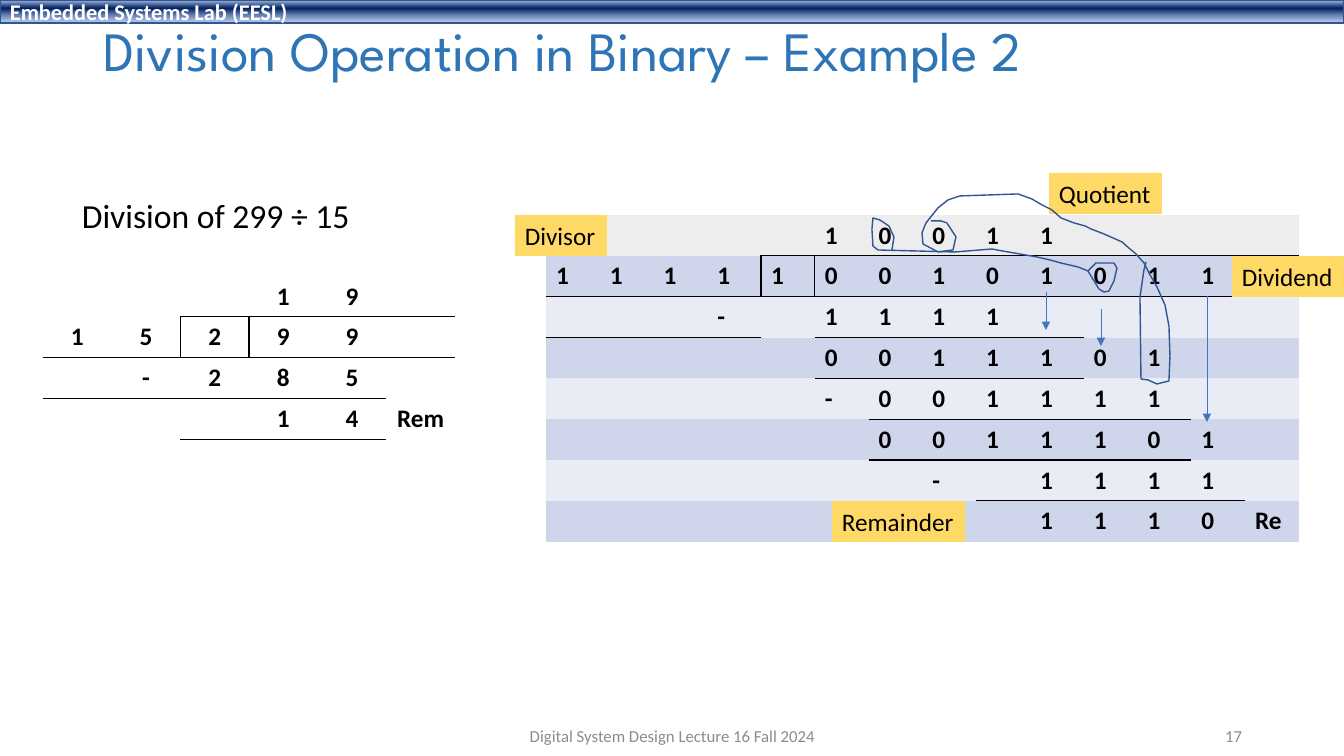
from collections import namedtuple

from lxml import etree
from pptx import Presentation
from pptx.dml.color import RGBColor
from pptx.enum.shapes import MSO_CONNECTOR, MSO_SHAPE
from pptx.enum.text import MSO_ANCHOR, PP_ALIGN
from pptx.oxml import parse_xml
from pptx.oxml.ns import nsdecls, qn
from pptx.util import Pt

EMU_PER_PX = 914400 / 100.8
NO_GRID_STYLE = "{2D5ABB26-0587-4C30-8999-92F81FD0307C}"

Box = namedtuple("Box", "left top width height")


class Theme:
    """Colours, fonts and type sizes of the slide."""
    body, heading = "Calibri", "League Spartan"
    black, white, grey, title = "000000", "FFFFFF", "8C8C8C", "2E75B6"
    label, ink, arrow = "FFD966", "325491", "4472C4"
    quotient_row, dark_band, light_band = "EDEDED", "CFD5EA", "E9EBF5"
    bar_stops = ((2, "ABC0E4", 100), (38, "002060", 100), (93, "7E9ED6", 64))
    title_size, prompt_size, text_size, bar_size, footer_size = 39.6, 24, 18, 16, 12


def px(length):
    """Turn pixels into EMU."""
    return round(length * EMU_PER_PX)


def within(region, left, top, width, height):
    """Return a box placed relative to a region."""
    return Box(region.left + left, region.top + top, width, height)


def rgb(colour):
    """Return a colour object for a hex string."""
    return RGBColor.from_string(colour)


def style(paragraph, size, colour=Theme.black, face=Theme.body, bold=False,
          align=PP_ALIGN.LEFT):
    """Format a whole paragraph."""
    paragraph.alignment = align
    font = paragraph.font
    font.name, font.size, font.bold = face, Pt(size), bold
    font.color.rgb = rgb(colour)


def add_text(slide, box, text, size, colour=Theme.black, fill=None, wrap=False,
             anchor=MSO_ANCHOR.TOP, align=PP_ALIGN.LEFT):
    """Add a one-paragraph text box."""
    holder = slide.shapes.add_textbox(*map(px, box))
    if fill:
        holder.fill.solid()
        holder.fill.fore_color.rgb = rgb(fill)
    frame = holder.text_frame
    frame.word_wrap, frame.vertical_anchor = wrap, anchor
    frame.text = text
    style(frame.paragraphs[0], size, colour, align=align)


def add_header(slide, box):
    """Draw the gradient bar with the name of the lab."""
    bar = slide.shapes.add_shape(MSO_SHAPE.RECTANGLE, *map(px, box))
    bar.shadow.inherit = False
    stops = "".join(
        f'<a:gs pos="{place * 1000}"><a:srgbClr val="{colour}">'
        f'<a:alpha val="{alpha * 1000}"/></a:srgbClr></a:gs>'
        for place, colour, alpha in Theme.bar_stops)
    gradient = parse_xml(
        f'<a:gradFill {nsdecls("a")} rotWithShape="1"><a:gsLst>{stops}</a:gsLst>'
        '<a:lin ang="5400000" scaled="0"/></a:gradFill>')
    bar.element.spPr.find(qn("a:prstGeom")).addnext(gradient)
    bar.line.color.rgb, bar.line.width = rgb(Theme.ink), Pt(1)
    frame = bar.text_frame
    frame.vertical_anchor = MSO_ANCHOR.MIDDLE
    frame.text = "Embedded Systems Lab (EESL)"
    style(frame.paragraphs[0], Theme.bar_size, Theme.white, bold=True)


def add_title(slide, box):
    """Place and format the title placeholder."""
    title = slide.shapes.title
    title.left, title.top, title.width, title.height = map(px, box)
    frame = title.text_frame
    frame.text = "Division Operation in Binary – Example 2"
    frame.vertical_anchor, frame.word_wrap = MSO_ANCHOR.MIDDLE, True
    frame.paragraphs[0].line_spacing = 0.9
    style(frame.paragraphs[0], Theme.title_size, Theme.title, Theme.heading)


def add_division(slide, box, columns, rows, underlines, bracket, bands, align):
    """Lay out a long division; rows map a start column to spaced digits."""
    frame = slide.shapes.add_table(len(rows), columns, *map(px, box))
    next(frame.element.iter(qn("a:tableStyleId"))).text = NO_GRID_STYLE
    table = frame.table
    table.first_row = table.horz_banding = False
    for column in table.columns:
        column.width = px(box.width / columns)
    for row in table.rows:
        row.height = px(box.height / len(rows))
    for r, groups in enumerate(rows):
        for start, digits in groups.items():
            for c, digit in enumerate(digits.split(), start):
                table.cell(r, c).text = digit
    ruled = {(r, c) for r, first, last in underlines for c in range(first, last + 1)}
    for r in range(len(rows)):
        for c in range(columns):
            cell = table.cell(r, c)
            style(cell.text_frame.paragraphs[0], Theme.text_size, bold=True, align=align)
            edges = {"lnL": (r, c - 1) == bracket, "lnR": (r, c) == bracket,
                     "lnT": (r - 1, c) in ruled, "lnB": (r, c) in ruled}
            properties = cell._tc.get_or_add_tcPr()
            for edge, drawn in edges.items():
                if drawn:
                    line = etree.SubElement(properties, qn(f"a:{edge}"), w="12700")
                    paint = etree.SubElement(line, qn("a:solidFill"))
                    etree.SubElement(paint, qn("a:srgbClr"), val=Theme.black)
            if bands:
                cell.fill.solid()
                cell.fill.fore_color.rgb = rgb(bands[r])
            else:
                cell.fill.background()


def add_ink(slide, region, points):
    """Draw a hand-drawn open stroke."""
    (x, y), *rest = [(region.left + x, region.top + y) for x, y in points]
    builder = slide.shapes.build_freeform(x, y, scale=EMU_PER_PX)
    builder.add_line_segments(rest, close=False)
    stroke = builder.convert_to_shape()
    stroke.shadow.inherit = False
    stroke.fill.background()
    stroke.line.color.rgb, stroke.line.width = rgb(Theme.ink), Pt(1)


def add_arrow(slide, region, x, top, bottom):
    """Draw a downward arrow for a digit brought down."""
    x, top, bottom = region.left + x, region.top + top, region.top + bottom
    arrow = slide.shapes.add_connector(MSO_CONNECTOR.STRAIGHT, *map(px, (x, top, x, bottom)))
    arrow.line.color.rgb, arrow.line.width = rgb(Theme.arrow), Pt(0.5)
    etree.SubElement(arrow.line._get_or_add_ln(), qn("a:tailEnd"), type="triangle")
    etree.SubElement(arrow.element.spPr, qn("a:effectLst"))


def add_decimal_example(slide, region):
    """Show the division in decimal."""
    rows = [{3: "1 9"}, {0: "1 5 2 9 9"}, {1: "- 2 8 5"}, {3: "1 4 Rem"}, {}]
    add_division(slide, within(region, 0, 86, 412, 204), 6, rows,
                 [(0, 2, 5), (1, 0, 1), (2, 2, 4)], (1, 1), None, PP_ALIGN.CENTER)
    add_text(slide, within(region, 29, 0, 290, 50), "Division of 299 ÷ 15", Theme.prompt_size)


def add_binary_example(slide, region):
    """Show the division in binary with its labels, strokes and arrows."""
    rows = [{5: "1 0 0 1 1"}, {0: "1 1 1 1 1 0 0 1 0 1 0 1 1"}, {3: "-", 5: "1 1 1 1"},
            {5: "0 0 1 1 1 0 1"}, {5: "- 0 0 1 1 1 1"}, {6: "0 0 1 1 1 0 1"},
            {7: "-", 9: "1 1 1 1"}, {9: "1 1 1 0 Re"}]
    bands = [Theme.quotient_row] + [Theme.dark_band, Theme.light_band] * 4
    add_division(slide, within(region, 46, 45, 753, 327), 14, rows,
                 [(0, 4, 13), (1, 0, 3), (2, 5, 9), (4, 6, 11), (6, 8, 12)],
                 (1, 3), bands, PP_ALIGN.LEFT)
    for name, left, top, width in (("Divisor", 15, 45, 92), ("Quotient", 549, 3, 113),
                                   ("Dividend", 732, 86, 112), ("Remainder", 332, 331, 133)):
        add_text(slide, within(region, left, top, width, 41), name,
                 Theme.text_size, fill=Theme.label)
    add_ink(slide, region, [
        (588, 101), (599, 119), (604, 122), (609, 121), (614, 111), (617, 98), (614, 93),
        (596, 93), (588, 101), (578, 97), (561, 93), (550, 90), (537, 87), (497, 80),
        (492, 79), (455, 82), (378, 80), (373, 76), (372, 59), (373, 48), (380, 50),
        (389, 56), (394, 67), (392, 80)])
    add_ink(slide, region, [
        (646, 92), (644, 100), (640, 127), (641, 209), (648, 210), (657, 214), (669, 211),
        (670, 186), (669, 156), (665, 135), (657, 117), (649, 103), (644, 93), (636, 84),
        (630, 79), (622, 72), (604, 64), (591, 59), (585, 56), (574, 53), (561, 48),
        (552, 40), (542, 35), (532, 29), (518, 24), (460, 26), (448, 30), (438, 38),
        (426, 53), (422, 63), (423, 74), (438, 82), (453, 80), (456, 67), (447, 53),
        (441, 51), (431, 51)])
    for x, top, bottom in ((546, 122, 160), (601, 139, 176), (707, 126, 252)):
        add_arrow(slide, region, x, top, bottom)


def add_footer(slide, region):
    """Place the lecture name and the slide number."""
    for text, left, width, align in (
            ("Digital System Design Lecture 16 Fall 2024", 0, 453, PP_ALIGN.CENTER),
            ("17", 504, 302, PP_ALIGN.RIGHT)):
        add_text(slide, within(region, left, 0, width, region.height), text,
                 Theme.footer_size, Theme.grey, wrap=True,
                 anchor=MSO_ANCHOR.MIDDLE, align=align)


def main():
    """Build the slide and save it."""
    deck = Presentation()
    deck.slide_width, deck.slide_height = px(1344), px(756)
    slide = deck.slides.add_slide(deck.slide_layouts[5])
    add_header(slide, Box(0, 0, 1344, 23))
    add_title(slide, Box(93, 15, 1159, 78))
    add_decimal_example(slide, Box(43, 190, 412, 290))
    add_binary_example(slide, Box(500, 170, 844, 380))
    add_footer(slide, Box(446, 716, 806, 40))
    deck.save("out.pptx")


if __name__ == "__main__":
    main()
